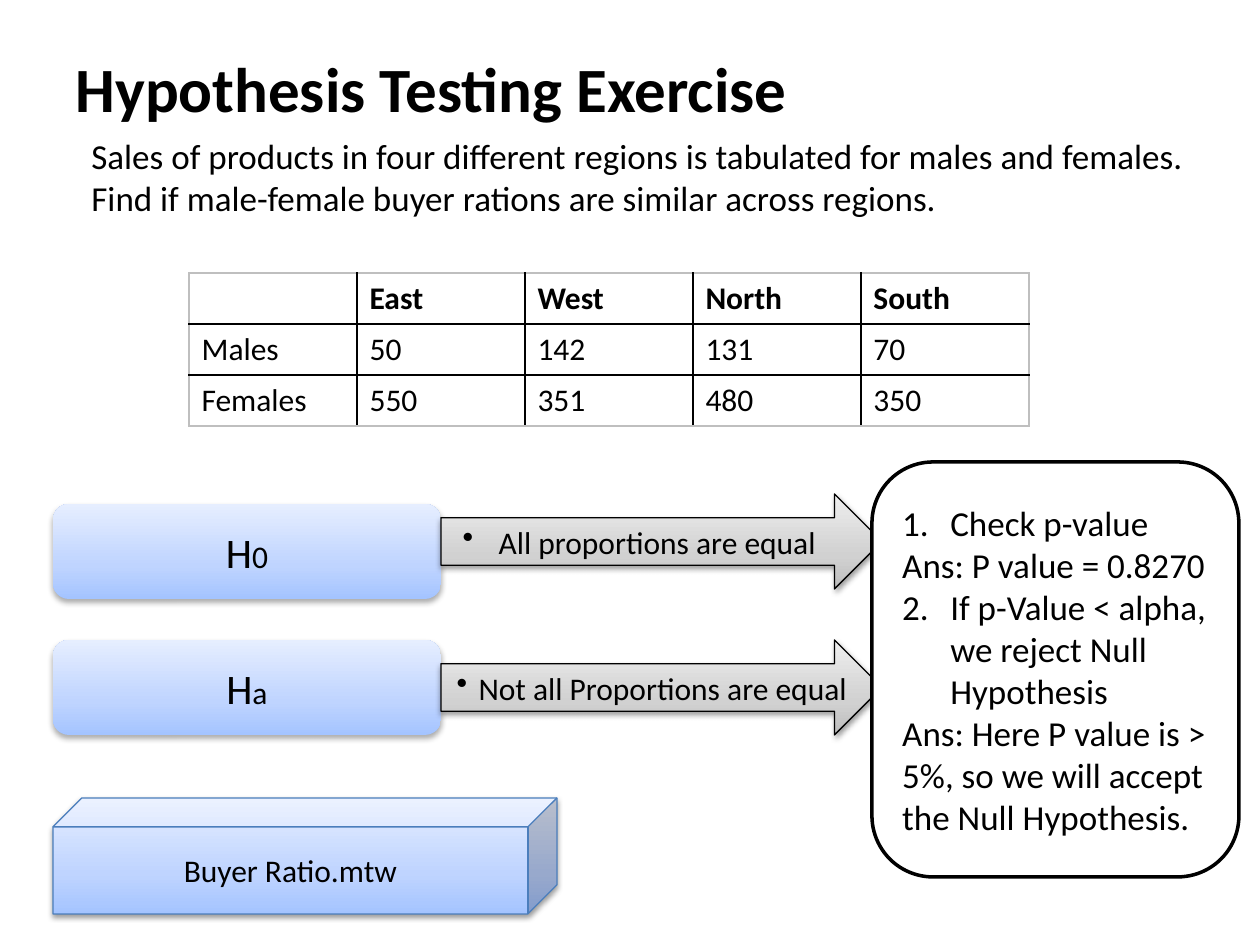
from lxml.etree import SubElement
from pptx import Presentation
from pptx.dml.color import RGBColor
from pptx.enum.shapes import MSO_SHAPE as SHAPE
from pptx.enum.text import MSO_ANCHOR as ANCHOR, PP_ALIGN as ALIGN
from pptx.oxml.ns import qn
from pptx.util import Emu, Pt

PX = 914400 // 126
FONT, BLACK, WHITE, GREY = "Calibri", "000000", "FFFFFF", "BFBFBF"

TITLE = "Hypothesis Testing Exercise"
INTRO = ("Sales of products in four different regions is tabulated for males and females. "
         "Find if male-female buyer rations are similar across regions.")
SALES = [
    ("", "East", "West", "North", "South"),
    ("Males", "50", "142", "131", "70"),
    ("Females", "550", "351", "480", "350"),
]
# top, runs of (text, size)
HYPOTHESES = [(504, [("H", 24), ("0", 18)]), (640, [("H", 24), ("a", 18)])]
# top, text, bullet indent, right inset
CLAIMS = [(494, "All proportions are equal", 36, 33),
          (640, "Not all Proportions are equal", 22, 8)]
# text, list number or None
STEPS = [
    ("Check p-value", 1),
    ("Ans: P value = 0.8270", None),
    ("If p-Value < alpha, we reject Null Hypothesis", 2),
    ("Ans: Here P value is > 5%, so we will accept the Null Hypothesis.", None),
]
DATA_FILE = "Buyer Ratio.mtw"

BLUE_STOPS = [(0, "A4C4FF"), (35, "BFD4FF"), (100, "E6EEFF")]
GREY_STOPS = [(0, "BDBDBD"), (35, "D1D1D1"), (100, "EEEEEE")]
# opacity in percent, blur and distance in points
SOFT_SHADOW, DEEP_SHADOW = (32, 3.5, 2.2), (38, 3.1, 1.6)


def px(*lengths):
    """Turn pixels into EMU lengths."""
    return [Emu(length * PX) for length in lengths]


def color(code):
    """Turn a hex string into a colour."""
    return RGBColor.from_string(code)


def style(font, size, bold=False):
    """Set the common font in one size."""
    font.name, font.size, font.bold = FONT, Pt(size), bold
    font.color.rgb = color(BLACK)


def write(paragraph, text, size, bold=False, align=ALIGN.LEFT):
    """Fill a paragraph whose runs all agree."""
    paragraph.text, paragraph.alignment = text, align
    style(paragraph.font, size, bold)


def add_marker(paragraph, indent, number=None):
    """Give a paragraph a hanging bullet, or a list number."""
    properties = paragraph._p.get_or_add_pPr()
    properties.set("marL", str(indent * PX))
    properties.set("indent", str(-indent * PX))
    if number:
        marker = properties.makeelement(
            qn("a:buAutoNum"), {"type": "arabicPeriod", "startAt": str(number)})
    else:
        marker = properties.makeelement(qn("a:buChar"), {"char": "•"})
    properties.insert_element_before(marker, "a:tabLst", "a:defRPr", "a:extLst")


def add_color(parent, code, opacity=None):
    """Add a colour element, see-through if an opacity is given."""
    element = SubElement(parent, qn("a:srgbClr"), val=code)
    if opacity:
        SubElement(element, qn("a:alpha"), val=str(opacity * 1000))


def add_block(slide, kind, box, stops=None, line=None, width=0.75, shadow=None):
    """Add a preset shape with its fill, outline and shadow."""
    shape = slide.shapes.add_shape(kind, *px(*box))
    shape.shadow.inherit = False
    if stops:
        shape.fill.gradient()
        shape.fill.gradient_angle = 90
        stop_list = shape._element.spPr.find(".//" + qn("a:gsLst"))
        for stop in list(stop_list):
            stop_list.remove(stop)
        for position, code in stops:
            add_color(SubElement(stop_list, qn("a:gs"), pos=str(position * 1000)), code)
    else:
        shape.fill.solid()
        shape.fill.fore_color.rgb = color(WHITE)
    if line:
        shape.line.color.rgb = color(line)
        shape.line.width = Pt(width)
    else:
        shape.line.fill.background()
    if shadow:
        opacity, blur, distance = shadow
        effects = shape._element.spPr.find(qn("a:effectLst"))
        outer = SubElement(effects, qn("a:outerShdw"), blurRad=str(Pt(blur)),
                           dist=str(Pt(distance)), dir="5400000", rotWithShape="0")
        add_color(outer, BLACK, opacity)
    shape.text_frame.word_wrap = True
    shape.text_frame.vertical_anchor = ANCHOR.MIDDLE
    return shape


def set_borders(cell, row, column, last_row, last_column):
    """Draw grey lines on the table's outside and black ones inside."""
    properties = cell._tc.get_or_add_tcPr()
    outside = [column == 0, column == last_column, row == 0, row == last_row]
    for index, (side, is_outer) in enumerate(zip("LRTB", outside)):
        line = properties.makeelement(qn("a:ln" + side), {"w": str(Pt(1))})
        add_color(SubElement(line, qn("a:solidFill")), GREY if is_outer else BLACK)
        properties.insert(index, line)


def add_sales_table(slide):
    """Add the table of buyers by region."""
    rows, columns = len(SALES), len(SALES[0])
    table = slide.shapes.add_table(rows, columns, *px(189, 273, 168 * columns, 51 * rows)).table
    for row, values in enumerate(SALES):
        table.rows[row].height = px(51)[0]
        for column, value in enumerate(values):
            cell = table.cell(row, column)
            write(cell.text_frame.paragraphs[0], value, 18, bold=row == 0)
            cell.fill.background()
            set_borders(cell, row, column, rows - 1, columns - 1)


presentation = Presentation()
presentation.slide_width, presentation.slide_height = px(1260, 945)
slide = presentation.slides.add_slide(presentation.slide_layouts[5])

title = slide.shapes.title
title.left, title.top, title.width, title.height = px(63, 38, 1134, 98)
title.text_frame.vertical_anchor = ANCHOR.MIDDLE
write(title.text_frame.paragraphs[0], TITLE, 36, bold=True)

intro = slide.shapes.add_textbox(*px(79, 128, 1160, 97)).text_frame
intro.word_wrap = True
write(intro.paragraphs[0], INTRO, 20)

add_sales_table(slide)

for top, runs in HYPOTHESES:
    shape = add_block(slide, SHAPE.ROUNDED_RECTANGLE, (53, top, 388, 95),
                      BLUE_STOPS, shadow=SOFT_SHADOW)
    paragraph = shape.text_frame.paragraphs[0]
    paragraph.alignment = ALIGN.CENTER
    for text, size in runs:
        run = paragraph.add_run()
        run.text = text
        style(run.font, size)

for top, text, indent, inset in CLAIMS:
    shape = add_block(slide, SHAPE.RIGHT_ARROW, (441, top, 441, 95),
                      GREY_STOPS, BLACK, shadow=DEEP_SHADOW)
    shape.text_frame.margin_right = px(inset)[0]
    paragraph = shape.text_frame.paragraphs[0]
    write(paragraph, text, 18, align=ALIGN.CENTER)
    add_marker(paragraph, indent)

steps = add_block(slide, SHAPE.ROUNDED_RECTANGLE, (872, 462, 367, 415),
                  line=BLACK, width=2).text_frame
for index, (text, number) in enumerate(STEPS):
    paragraph = steps.add_paragraph() if index else steps.paragraphs[0]
    write(paragraph, text, 20)
    if number:
        add_marker(paragraph, 48, number)

cube = add_block(slide, SHAPE.CUBE, (53, 798, 504, 116), BLUE_STOPS, "4B7EBC",
                 shadow=DEEP_SHADOW)
write(cube.text_frame.paragraphs[0], DATA_FILE, 18, align=ALIGN.CENTER)

presentation.save("out.pptx")
